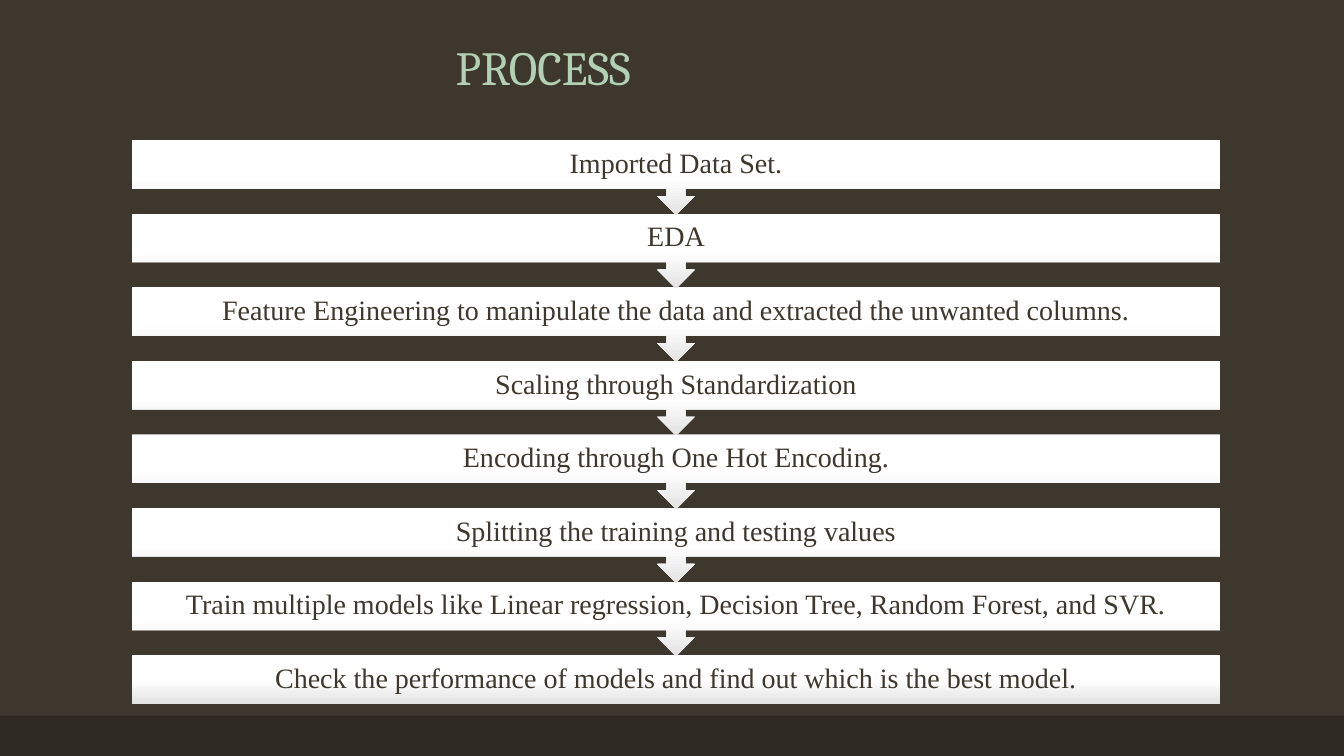
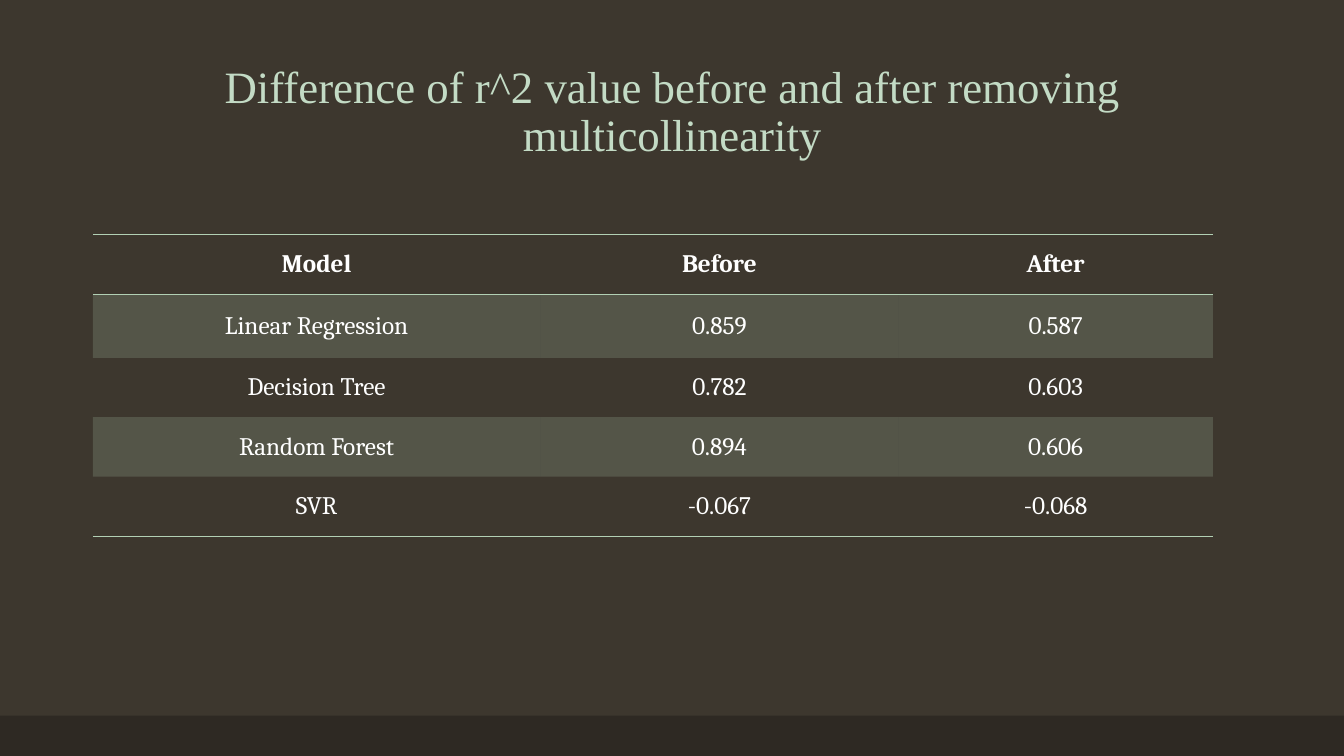
from dataclasses import dataclass

from lxml.etree import SubElement
from pptx import Presentation
from pptx.dml.color import RGBColor
from pptx.enum.shapes import MSO_SHAPE as Preset
from pptx.enum.text import MSO_ANCHOR as Anchor, MSO_AUTO_SIZE as AutoSize, PP_ALIGN as Align
from pptx.oxml.ns import qn
from pptx.presentation import Presentation as Deck
from pptx.slide import Slide
from pptx.table import _Cell as Cell
from pptx.text.text import TextFrame
from pptx.util import Inches, Pt

BACKGROUND = RGBColor(0x3D, 0x37, 0x2E)
BAND = RGBColor(0x2E, 0x29, 0x23)
GREEN = RGBColor(0xB2, 0xD0, 0xB4)
LIGHT_GREEN = RGBColor(0xC3, 0xDB, 0xC5)
WHITE = RGBColor(0xFF, 0xFF, 0xFF)
GREY = RGBColor(0xE3, 0xE3, 0xE3)

SERIF = "Cambria"
ROMAN = "Times New Roman"
NO_TABLE_STYLE = "{2D5ABB26-0587-4C30-8999-92F81FD0307C}"

STEPS = (
    "Imported Data Set.",
    "EDA",
    "Feature Engineering to manipulate the data and extracted the unwanted columns.",
    "Scaling through Standardization",
    "Encoding through One Hot Encoding.",
    "Splitting the training and testing values",
    "Train multiple models like Linear regression, Decision Tree, Random Forest, and SVR.",
    "Check the performance of models and find out which is the best model.",
)
STEP_TOP, STEP_PITCH, STEP_HEIGHT, CALLOUT_HEIGHT = 1.39, 0.73, 0.48, 0.74

SCORES = (
    ("Model", "Before", "After"),
    ("Linear Regression", "0.859", "0.587"),
    ("Decision Tree", "0.782", "0.603"),
    ("Random Forest", "0.894", "0.606"),
    ("SVR", "-0.067", "-0.068"),
)
COLUMN_WIDTHS = (4.44, 3.55, 3.12)
ROW_HEIGHTS = (0.59, 0.63, 0.59, 0.59, 0.59)


@dataclass(frozen=True)
class Title:
    """Wording, place and format of a slide title."""

    text: str
    top: float
    height: float
    size: float
    font: str
    color: RGBColor
    align: Align = Align.LEFT
    indent: float = 0.1


def write(frame: TextFrame, text: str, *, size: float, font: str, color: RGBColor,
          align: Align = Align.CENTER, bold: bool = False, spacing: float = 1.0) -> None:
    """Put one formatted paragraph in a text frame."""
    para = frame.paragraphs[0]
    para.alignment = align
    para.line_spacing = spacing
    span = para.add_run()
    span.text = text
    span.font.size = Pt(size)
    span.font.name = font
    span.font.bold = bold
    span.font.color.rgb = color


def add_page(deck: Deck, title: Title) -> Slide:
    """Add a slide with the shared background, bottom band and title."""
    page = deck.slides.add_slide(deck.slide_layouts[5])
    page.background.fill.solid()
    page.background.fill.fore_color.rgb = BACKGROUND

    band = page.shapes.add_shape(Preset.RECTANGLE, 0, Inches(7.1), deck.slide_width, Inches(0.4))
    band.shadow.inherit = False
    band.fill.solid()
    band.fill.fore_color.rgb = BAND
    band.line.fill.background()

    box = page.shapes.title
    box.left, box.top = Inches(0.92), Inches(title.top)
    box.width, box.height = Inches(11.5), Inches(title.height)
    frame = box.text_frame
    frame.auto_size = AutoSize.NONE
    frame.word_wrap = True
    frame.vertical_anchor = Anchor.BOTTOM
    frame.margin_left = Inches(title.indent)
    write(frame, title.text, size=title.size, font=title.font, color=title.color,
          align=title.align, spacing=0.9)
    return page


def add_step(page: Slide, index: int, text: str) -> None:
    """Draw one process step, with an arrow unless it is the last."""
    last = index == len(STEPS) - 1
    box = page.shapes.add_shape(
        Preset.RECTANGLE if last else Preset.DOWN_ARROW_CALLOUT,
        Inches(1.31), Inches(STEP_TOP + index * STEP_PITCH),
        Inches(10.79), Inches(STEP_HEIGHT if last else CALLOUT_HEIGHT))
    box.shadow.inherit = False
    box.line.fill.background()
    box.fill.gradient()
    box.fill.gradient_angle = 270
    for stop, color, position in zip(box.fill.gradient_stops, (WHITE, GREY), (0.5, 1.0)):
        stop.color.rgb = color
        stop.position = position
    frame = box.text_frame
    frame.word_wrap = True
    frame.vertical_anchor = Anchor.MIDDLE
    frame.margin_left = frame.margin_right = Inches(0.16)
    frame.margin_top = frame.margin_bottom = 0
    write(frame, text, size=20, font=ROMAN, color=BACKGROUND, spacing=0.9)


def add_border(cell: Cell, side: str) -> None:
    """Add a thin green border to one side of a cell."""
    line = SubElement(cell._tc.get_or_add_tcPr(), qn(f"a:{side}"), w=str(Pt(1)))
    fill = SubElement(line, qn("a:solidFill"))
    SubElement(fill, qn("a:srgbClr"), val=str(GREEN))


def tint(cell: Cell) -> None:
    """Fill a cell with translucent green."""
    cell.fill.solid()
    cell.fill.fore_color.rgb = GREEN
    for color in cell._tc.tcPr.findall(f"{qn('a:solidFill')}/{qn('a:srgbClr')}"):
        SubElement(color, qn("a:alpha"), val="20000")


def add_scores(page: Slide) -> None:
    """Draw the table of scores."""
    holder = page.shapes.add_table(
        len(SCORES), len(COLUMN_WIDTHS), Inches(0.92), Inches(2.33),
        Inches(sum(COLUMN_WIDTHS)), Inches(sum(ROW_HEIGHTS)))
    for style in holder.element.iter(qn("a:tableStyleId")):
        style.text = NO_TABLE_STYLE
    table = holder.table
    table.horz_banding = False
    for column, width in zip(table.columns, COLUMN_WIDTHS):
        column.width = Inches(width)
    for row, height in zip(table.rows, ROW_HEIGHTS):
        row.height = Inches(height)
    for index, values in enumerate(SCORES):
        header = index == 0
        for cell, value in zip(table.rows[index].cells, values):
            cell.vertical_anchor = Anchor.MIDDLE
            write(cell.text_frame, value, size=18, font=SERIF, color=WHITE, bold=header)
            if header:
                add_border(cell, "lnT")
            if header or index == len(SCORES) - 1:
                add_border(cell, "lnB")
            if index % 2:
                tint(cell)
            else:
                cell.fill.background()


def main() -> None:
    """Build and save the deck."""
    deck = Presentation()
    deck.slide_width, deck.slide_height = Inches(13.33), Inches(7.5)

    process = add_page(deck, Title("PROCESS", 0.13, 0.87, 34, SERIF, GREEN, indent=3.6))
    for index, text in reversed(list(enumerate(STEPS))):
        add_step(process, index, text)

    comparison = add_page(deck, Title(
        "Difference of r^2 value before and after removing multicollinearity",
        0.4, 1.25, 32, ROMAN, LIGHT_GREEN, Align.CENTER))
    add_scores(comparison)

    deck.save("out.pptx")


if __name__ == "__main__":
    main()
